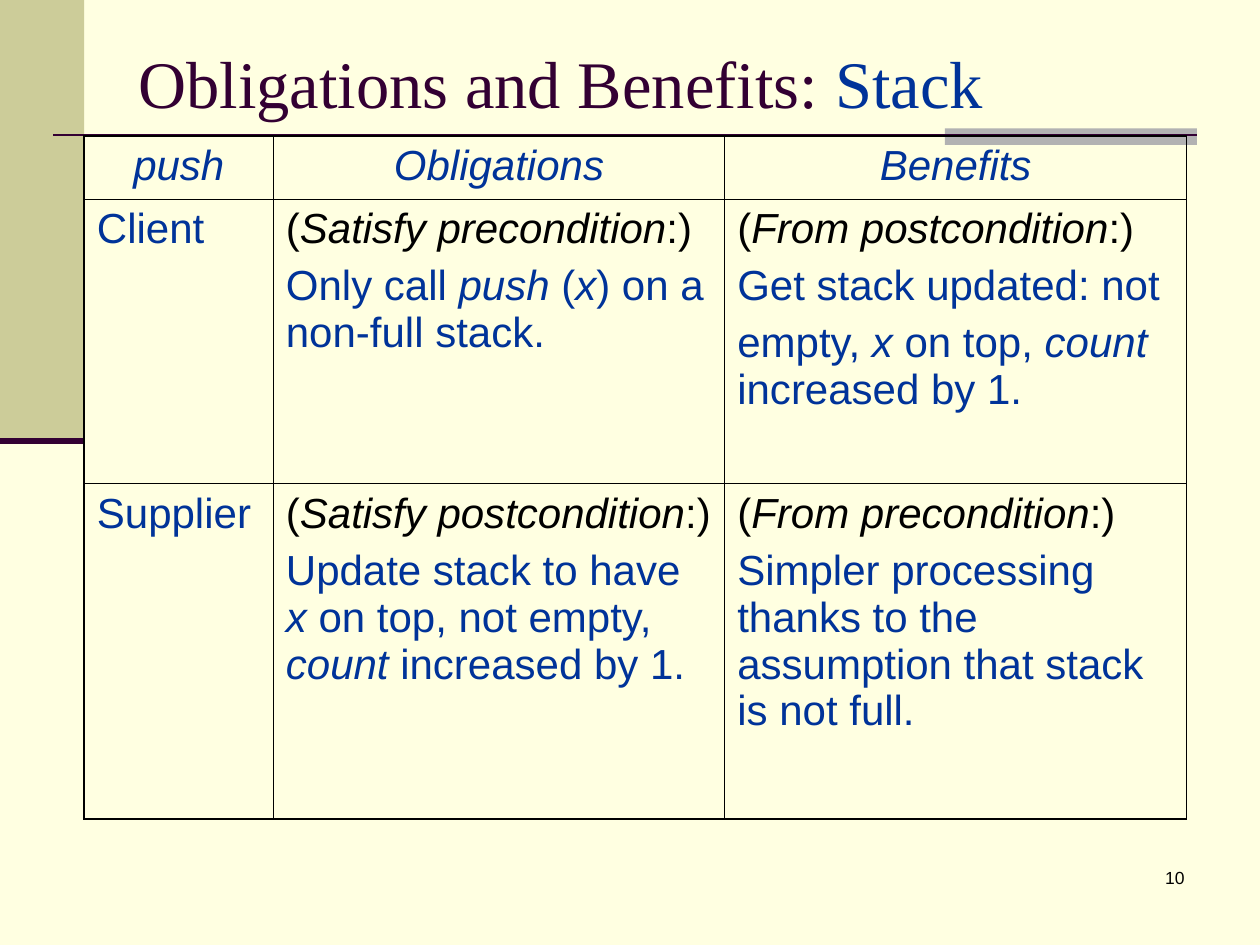
"""Build the slide on the obligations and benefits of a stack contract."""
from lxml import etree
from pptx import Presentation
from pptx import util as u
from pptx.dml.color import RGBColor
from pptx.enum import shapes, text
from pptx.oxml import ns

COLOURS = {"paper": "FFFFE1", "olive": "CCCC99", "grey": "B2B2B2",
           "plum": "330033", "blue": "003399", "black": "000000"}

TITLE = [("plum", "Obligations and Benefits: "), ("blue", "Stack")]
PAGE_NUMBER = [("black", "10")]
PANELS = [("olive", (0, 0, 1.7, 8.89)), ("grey", (19.05, 2.59, 5.08, 0.33))]
RULES = [((1.07, 2.72, 24.13, 2.72), 1.5), ((0, 8.89, 1.7, 8.89), 3.5)]

CONTRACT = [
    [[("blue", "*push*")], [("blue", "*Obligations*")], [("blue", "*Benefits*")]],
    [[("blue", "Client")],
     [("black", "(*Satisfy precondition*:)"),
      ("blue", "Only call *push *(*x*) on a non-full stack.")],
     [("black", "(*From postcondition*:)"),
      ("blue", "Get stack updated: not"),
      ("blue", "empty, *x *on top, *count *increased by 1.")]],
    [[("blue", "Supplier")],
     [("black", "(*Satisfy postcondition*:)"),
      ("blue", "Update stack to have *x *on top, not empty, *count *increased by 1.")],
     [("black", "(*From precondition*:)"),
      ("blue", "Simpler processing thanks to the assumption that stack is not full.")]],
]
TABLE_ORIGIN = (1.7, 2.74)
COLUMN_WIDTHS = [3.81, 9.1, 9.31]
ROW_HEIGHTS = [1.27, 5.74, 6.76]
OUTER_BORDER, INNER_BORDER = 1.08, 0.45

TITLE_FORMAT = {"name": "Times New Roman", "size": u.Pt(38)}
CELL_FORMAT = {"name": "Arial", "size": u.Pt(24)}
NUMBER_FORMAT = {"name": "Arial", "size": u.Pt(10)}


def lengths(values):
    return [u.Cm(value) for value in values]


def rgb(name):
    return RGBColor.from_string(COLOURS[name])


def apply(target, values):
    for name, value in values.items():
        setattr(target, name, value)


def write(paragraph, colour, marked_text, font_format):
    """Add runs; text between asterisks is italic."""
    for index, part in enumerate(marked_text.split("*")):
        if part:
            run = paragraph.add_run()
            run.text = part
            apply(run.font, {**font_format, "italic": index % 2 == 1})
            run.font.color.rgb = rgb(colour)


def add_line_of_text(slide, box, pieces, font_format, alignment, anchor):
    frame = slide.shapes.add_textbox(*lengths(box)).text_frame
    apply(frame, {"word_wrap": True, "vertical_anchor": anchor})
    paragraph = frame.paragraphs[0]
    paragraph.alignment = alignment
    for colour, words in pieces:
        write(paragraph, colour, words, font_format)


def add_panel(slide, colour, box):
    panel = slide.shapes.add_shape(shapes.MSO_SHAPE.RECTANGLE, *lengths(box))
    panel.shadow.inherit = False
    panel.fill.solid()
    panel.fill.fore_color.rgb = rgb(colour)
    panel.line.fill.background()


def add_rule(slide, ends, width):
    rule = slide.shapes.add_connector(shapes.MSO_CONNECTOR.STRAIGHT, *lengths(ends))
    apply(rule.line, {"width": u.Pt(width)})
    rule.line.color.rgb = rgb("plum")
    etree.SubElement(rule._element.spPr, ns.qn("a:effectLst"))


def set_borders(cell, outer_sides):
    properties = cell._tc.get_or_add_tcPr()
    for side, is_outer in outer_sides.items():
        width = u.Pt(OUTER_BORDER if is_outer else INNER_BORDER)
        border = etree.SubElement(properties, ns.qn(f"a:ln{side}"), w=str(int(width)))
        fill = etree.SubElement(border, ns.qn("a:solidFill"))
        etree.SubElement(fill, ns.qn("a:srgbClr"), val=COLOURS["black"])


def add_contract_table(slide):
    size = (sum(COLUMN_WIDTHS), sum(ROW_HEIGHTS))
    last_row, last_column = len(ROW_HEIGHTS) - 1, len(COLUMN_WIDTHS) - 1
    table = slide.shapes.add_table(
        last_row + 1, last_column + 1, *lengths(TABLE_ORIGIN + size)).table
    apply(table, {"first_row": False, "horz_banding": False})
    for column, width in zip(table.columns, COLUMN_WIDTHS):
        column.width = u.Cm(width)
    for row, height in zip(table.rows, ROW_HEIGHTS):
        row.height = u.Cm(height)
    for r, row in enumerate(CONTRACT):
        for c, content in enumerate(row):
            cell = table.cell(r, c)
            set_borders(cell, {"L": c == 0, "R": c == last_column,
                               "T": r == 0, "B": r == last_row})
            cell.fill.background()
            for index, (colour, words) in enumerate(content):
                frame = cell.text_frame
                paragraph = frame.add_paragraph() if index else frame.paragraphs[0]
                apply(paragraph, {
                    "space_before": u.Pt(6),
                    "alignment": text.PP_ALIGN.LEFT if r else text.PP_ALIGN.CENTER})
                write(paragraph, colour, words, CELL_FORMAT)


def main():
    presentation = Presentation()
    apply(presentation, {"slide_width": u.Cm(25.4), "slide_height": u.Cm(19.05)})
    slide = presentation.slides.add_slide(presentation.slide_layouts[6])
    slide.background.fill.solid()
    slide.background.fill.fore_color.rgb = rgb("paper")
    for colour, box in PANELS:
        add_panel(slide, colour, box)
    for ends, width in RULES:
        add_rule(slide, ends, width)
    add_line_of_text(slide, (18.85, 17.35, 5.28, 1.27), PAGE_NUMBER, NUMBER_FORMAT,
                     text.PP_ALIGN.RIGHT, text.MSO_ANCHOR.TOP)
    add_line_of_text(slide, (2.54, 0.76, 21.59, 1.78), TITLE, TITLE_FORMAT,
                     text.PP_ALIGN.LEFT, text.MSO_ANCHOR.MIDDLE)
    add_contract_table(slide)
    presentation.save("out.pptx")


if __name__ == "__main__":
    main()
